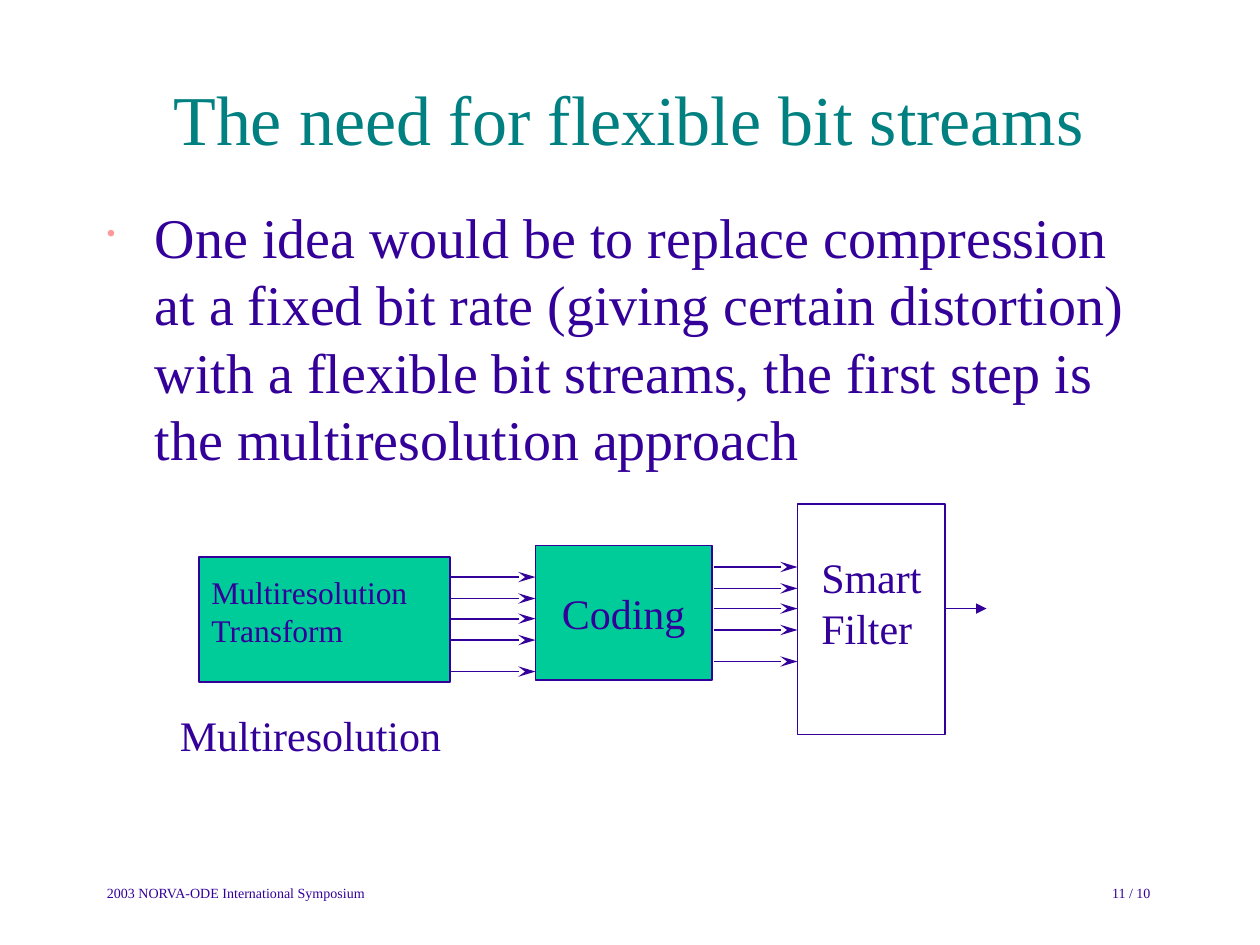
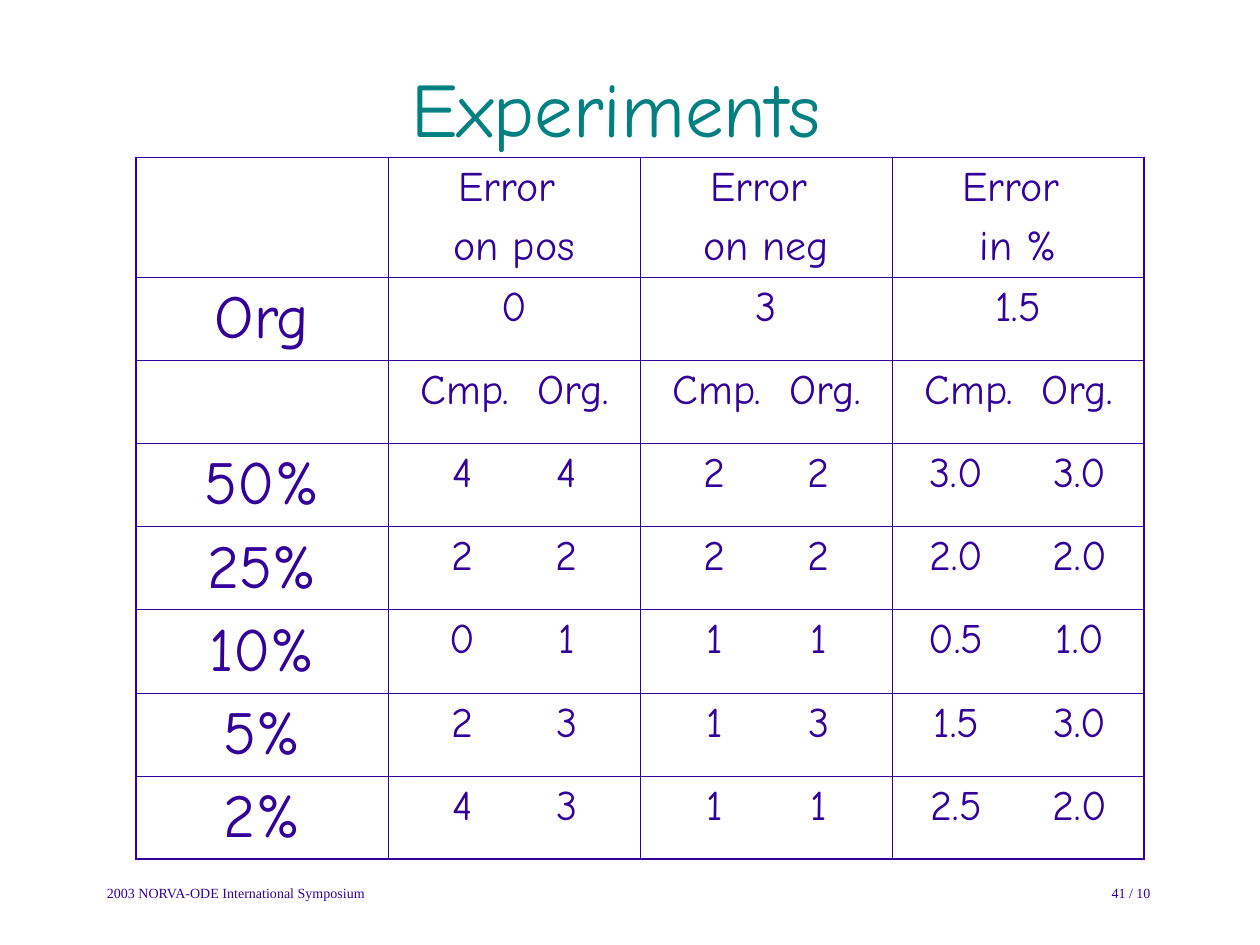
from lxml.etree import SubElement
from pptx import Presentation
from pptx.dml.color import RGBColor
from pptx.enum.shapes import MSO_CONNECTOR, MSO_SHAPE
from pptx.enum.text import MSO_ANCHOR as Anchor, PP_ALIGN as Align
from pptx.oxml import parse_xml
from pptx.oxml.ns import nsdecls, qn
from pptx.util import Inches, Pt

INK, TEAL, GREEN, PINK = "330099", "008080", "00CC99", "FF9999"
SERIF, COMIC = "Times New Roman", "Comic Neue"
FOOTER = "2003 NORVA-ODE International Symposium"
TOTAL = 10

IDEA = ("One idea would be to replace compression at a fixed bit rate "
        "(giving certain distortion) with a flexible bit streams, "
        "the first step is the multiresolution approach")
STAGES = [
    ((1.58, 4.42, 1.99, 0.99), GREEN, 1),
    ((4.25, 4.33, 1.4, 1.07), GREEN, 1),
    ((6.33, 4, 1.17, 1.83), None, 0.75),
]
LABELS = [
    ((1.58, 4.5, 1.92, 0.7), ["Multiresolution Transform"], 18),
    ((6.42, 4.33, 1, 0.9), ["Smart", "Filter"], 24),
    ((1.33, 5.58, 2.4, 0.5), ["Multiresolution"], 24),
]
STREAMS = [(3.58, 4.25, 4.58), (5.67, 6.33, 4.5)]
STREAM_STEPS = [0, 0.17, 0.33, 0.5, 0.75]

HEADINGS = [("Error ", "on pos"), ("Error ", "on neg"), ("Error ", "in %")]
PAIR_HEADING = ("Cmp.", "Org.")
UNCOMPRESSED = ("Org", ["0", "3", "1.5"])
RESULTS = [
    ("50%", [("4", "4"), ("2", "2"), ("3.0", "3.0")]),
    ("25%", [("2", "2"), ("2", "2"), ("2.0", "2.0")]),
    ("10%", [("0", "1"), ("1", "1"), ("0.5", "1.0")]),
    ("5%", [("2", "3"), ("1", "3"), ("1.5", "3.0")]),
    ("2%", [("4", "3"), ("1", "1"), ("2.5", "2.0")]),
]
HEADING_STOPS = (0.54, 1.4)
COUNT_STOPS = (0.52, 1.35)
PERCENT_STOPS = (0.44, 1.42)
TABLE_PLACE = (1.08, 1.25, 8, 5.57)
HEADER_HEIGHT, ROW_HEIGHT = 0.95, 0.66
OUTER_BORDER, INNER_BORDER = 1.08, 0.45


def color(value):
    return RGBColor.from_string(value)


def inches(values):
    return [Inches(value) for value in values]


def write(frame, lines, size, font=SERIF, ink=INK, align=Align.LEFT, gap=0):
    for index, line in enumerate(lines):
        para = frame.add_paragraph() if index else frame.paragraphs[0]
        para.alignment = align
        if index and gap:
            para.space_before = Pt(gap)
        span = para.add_run()
        span.text = line
        span.font.size = Pt(size)
        span.font.name = font
        span.font.color.rgb = color(ink)


def add_text(page, place, lines, size, anchor=Anchor.TOP, **style):
    frame = page.shapes.add_textbox(*inches(place)).text_frame
    frame.word_wrap = True
    frame.vertical_anchor = anchor
    write(frame, lines, size, **style)
    return frame


def add_page(deck, title, number, title_height, title_size, title_font):
    page = deck.slides.add_slide(deck.slide_layouts[6])
    for left, width, text, align in [(0.75, 2.6, FOOTER, Align.LEFT),
                                     (7.15, 2.08, f"{number} / {TOTAL}", Align.RIGHT)]:
        add_text(page, (left, 6.84, width, 0.5), [text], 8,
                 anchor=Anchor.MIDDLE, align=align)
    add_text(page, (0.74, 0.31, 8.5, title_height), [title], title_size,
             anchor=Anchor.MIDDLE, font=title_font, ink=TEAL, align=Align.CENTER)
    return page


def add_bullet(para):
    props = para._p.get_or_add_pPr()
    props.set("marL", str(Inches(0.38)))
    props.set("indent", str(-Inches(0.38)))
    SubElement(SubElement(props, qn("a:buClr")), qn("a:srgbClr")).set("val", PINK)
    SubElement(props, qn("a:buSzPct")).set("val", "45000")
    SubElement(props, qn("a:buChar")).set("char", "•")


def add_stage(page, place, fill, width):
    box = page.shapes.add_shape(MSO_SHAPE.RECTANGLE, *inches(place))
    box.shadow.inherit = False
    if fill:
        box.fill.solid()
        box.fill.fore_color.rgb = color(fill)
    else:
        box.fill.background()
    box.line.color.rgb = color(INK)
    box.line.width = Pt(width)
    return box


def add_arrow(page, start, end, y, width, head, length):
    arrow = page.shapes.add_connector(MSO_CONNECTOR.STRAIGHT, *inches((start, y, end, y)))
    arrow.line.color.rgb = color(INK)
    arrow.line.width = Pt(width)
    tail = SubElement(arrow.line._get_or_add_ln(), qn("a:tailEnd"))
    tail.set("type", head)
    tail.set("len", length)
    SubElement(arrow._element.spPr, qn("a:effectLst"))


def add_streams_page(deck):
    page = add_page(deck, "The need for flexible bit streams", 11, 1.25, 40, SERIF)
    body = add_text(page, (0.75, 1.56, 8.5, 5.11), [IDEA], 32)
    add_bullet(body.paragraphs[0])
    transform, coding, smart_filter = [add_stage(page, *stage) for stage in STAGES]
    coding.text_frame.word_wrap = False
    coding.text_frame.vertical_anchor = Anchor.MIDDLE
    write(coding.text_frame, ["Coding"], 24, align=Align.CENTER)
    for label in LABELS:
        add_text(page, *label)
    for start, end, top in STREAMS:
        for step in STREAM_STEPS:
            add_arrow(page, start, end, top + step, 1, "stealth", "lg")
    add_arrow(page, 7.5, 7.83, 4.83, 0.75, "triangle", "med")


def set_borders(cell, outer_sides):
    props = cell._tc.get_or_add_tcPr()
    for index, side in enumerate("LRTB"):
        width = Pt(OUTER_BORDER if side in outer_sides else INNER_BORDER)
        props.insert(index, parse_xml(
            f'<a:ln{side} {nsdecls("a")} w="{width}"><a:solidFill>'
            f'<a:srgbClr val="{INK}"/></a:solidFill></a:ln{side}>'))


def write_pair(cell, pair, stops):
    para = cell.text_frame.paragraphs[0]
    tabs = SubElement(para._p.get_or_add_pPr(), qn("a:tabLst"))
    for stop in stops:
        tab = SubElement(tabs, qn("a:tab"))
        tab.set("pos", str(Inches(stop)))
        tab.set("algn", "ctr")
    write(cell.text_frame, ["".join("\t" + value for value in pair)], 24, COMIC)


def add_experiments_page(deck):
    page = add_page(deck, "Experiments ", 41, 1.08, 44, COMIC)
    rows = [("", HEADINGS), UNCOMPRESSED, ("", [PAIR_HEADING] * 3), *RESULTS]
    last_row, last_col = len(rows) - 1, len(HEADINGS)
    table = page.shapes.add_table(last_row + 1, last_col + 1, *inches(TABLE_PLACE)).table
    table.first_row = table.horz_banding = False
    for r, (name, values) in enumerate(rows):
        table.rows[r].height = Inches(ROW_HEIGHT if r else HEADER_HEIGHT)
        for c, value in enumerate([name, *values]):
            cell = table.cell(r, c)
            cell.margin_left = cell.margin_right = Inches(0.07)
            cell.margin_bottom = Inches(0.01)
            cell.fill.background()
            edges = {"L": c == 0, "R": c == last_col, "T": r == 0, "B": r == last_row}
            set_borders(cell, [side for side in edges if edges[side]])
            if isinstance(value, tuple) and r:
                stops = PERCENT_STOPS if c == last_col else COUNT_STOPS
                write_pair(cell, value, HEADING_STOPS if value == PAIR_HEADING else stops)
            elif value:
                lines = [value] if isinstance(value, str) else value
                write(cell.text_frame, lines, 24 if c else 35, COMIC,
                      align=Align.CENTER, gap=6)


def main():
    deck = Presentation()
    deck.slide_width, deck.slide_height = inches((10, 7.5))
    add_streams_page(deck)
    add_experiments_page(deck)
    deck.save("out.pptx")


if __name__ == "__main__":
    main()
